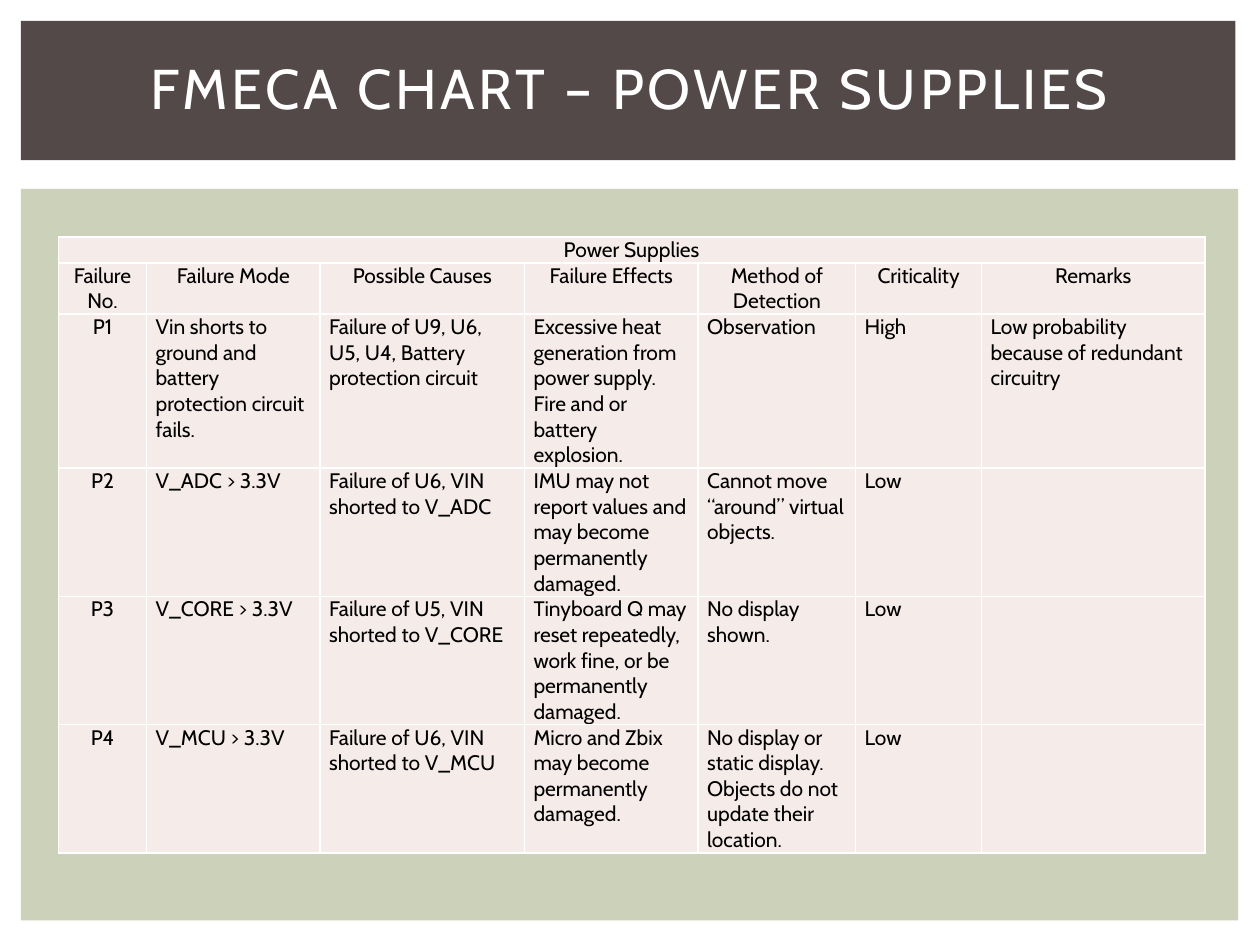
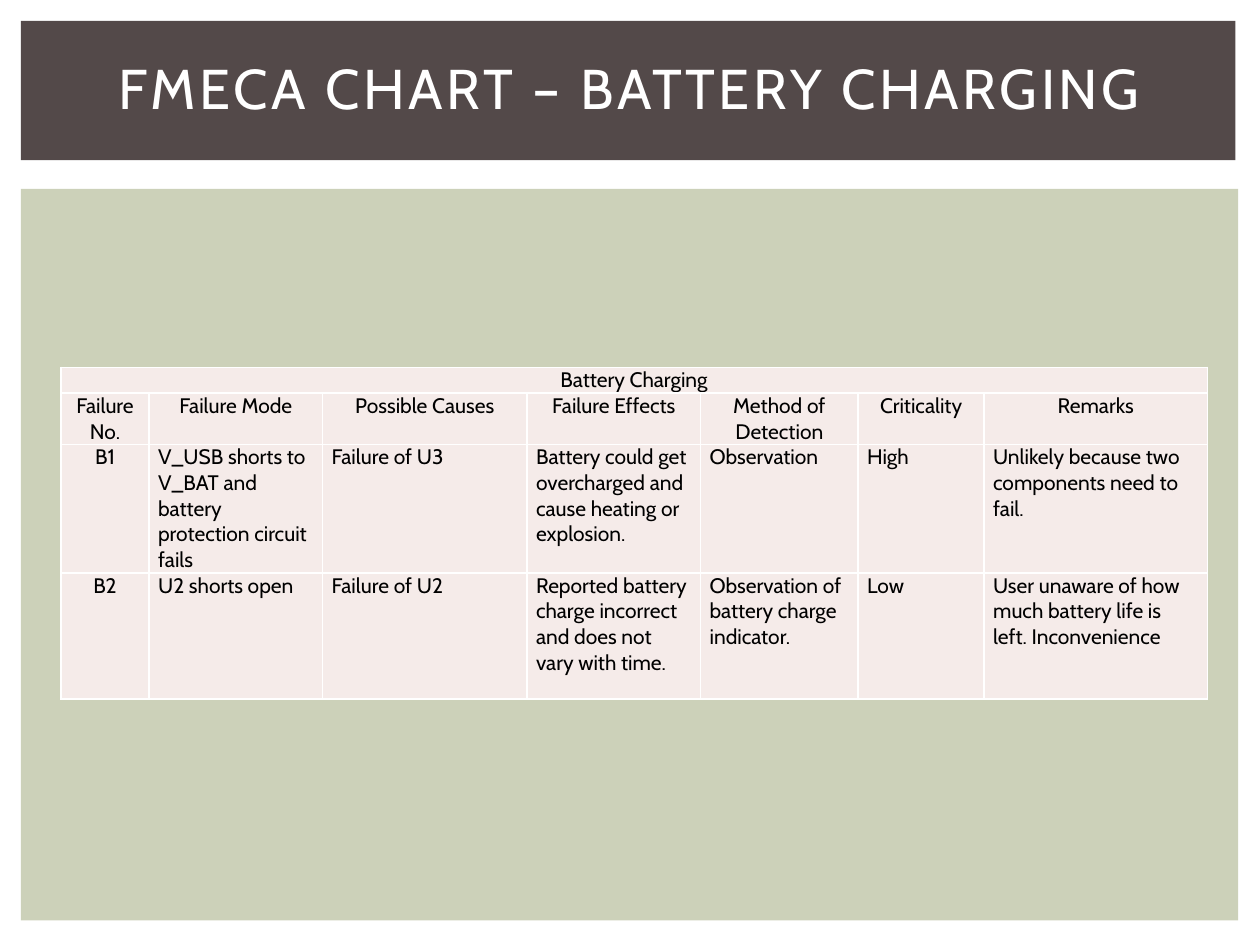
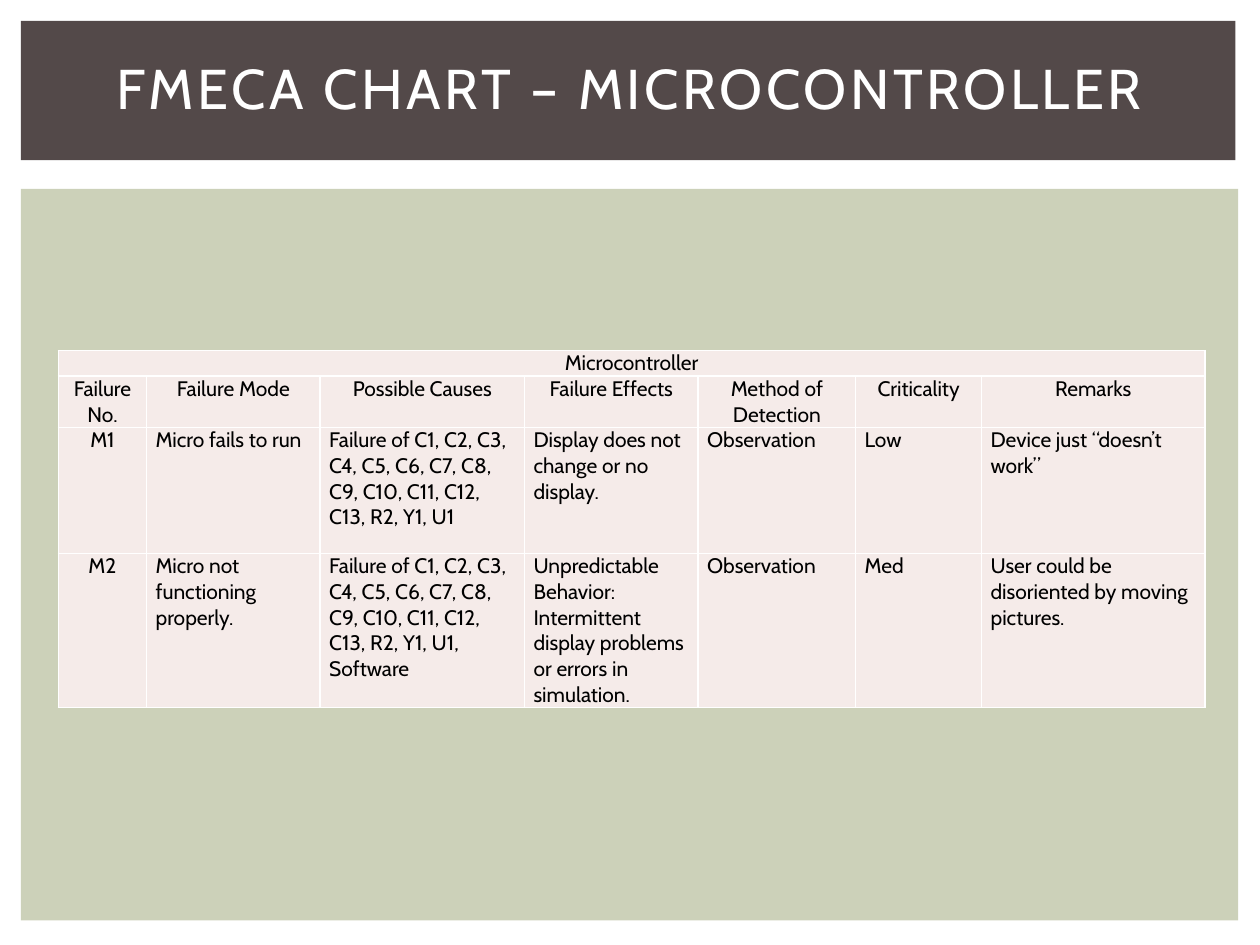
from lxml.etree import SubElement
from pptx import Presentation
from pptx.dml.color import RGBColor
from pptx.enum.shapes import MSO_SHAPE as Preset
from pptx.enum.text import MSO_ANCHOR as Anchor, MSO_AUTO_SIZE as AutoSize, PP_ALIGN as Align
from pptx.oxml.ns import qn
from pptx.util import Pt

WHITE = RGBColor(0xFF, 0xFF, 0xFF)
BLACK = RGBColor(0x00, 0x00, 0x00)
SAGE = RGBColor(0xCC, 0xD1, 0xB9)
BROWN = RGBColor(0x53, 0x49, 0x49)
BLUSH = RGBColor(0xF5, 0xEB, 0xE9)

FONT = "Cabin"
COLUMN_WIDTHS = [50.4, 99.2, 116.8, 99.2, 90, 72, 127.6]
HEADINGS = ["Failure No.", "Failure Mode", "Possible Causes", "Failure Effects",
            "Method of Detection", "Criticality", "Remarks"]
HEADER_HEIGHTS = [14.4, 28.8]
ROW_HEIGHT = 72
TALL_ROW_HEIGHT = 86.4
CAPACITORS = "Failure of C1, C2, C3, C4, C5, C6, C7, C8, C9, C10, C11, C12, C13, R2, Y1, U1"

POWER_FAILURES = [
    ["P1", "Vin shorts to ground and battery protection circuit fails.",
     "Failure of U9, U6, U5, U4, Battery protection circuit",
     "Excessive heat generation from power supply. Fire and or battery explosion.",
     "Observation", "High", "Low probability because of redundant circuitry"],
    ["P2", "V_ADC > 3.3V", "Failure of U6, VIN shorted to V_ADC",
     "IMU may not report values and may become permanently damaged.",
     "Cannot move “around” virtual objects.", "Low", ""],
    ["P3", "V_CORE > 3.3V", "Failure of U5, VIN shorted to V_CORE",
     "Tinyboard Q may reset repeatedly, work fine, or be permanently damaged.",
     "No display shown.", "Low", ""],
    ["P4", "V_MCU > 3.3V", "Failure of U6, VIN shorted to V_MCU",
     "Micro and Zbix may become permanently damaged.",
     "No display or static display. Objects do not update their location.", "Low", ""],
]
BATTERY_FAILURES = [
    ["B1", "V_USB shorts to V_BAT and battery protection circuit fails", "Failure of U3",
     "Battery could get overcharged and cause heating or explosion.",
     "Observation", "High", "Unlikely because two components need to fail."],
    ["B2", "U2 shorts open", "Failure of U2",
     "Reported battery charge incorrect and does not vary with time.",
     "Observation of battery charge indicator.", "Low",
     "User unaware of how much battery life is left. Inconvenience"],
]
MICRO_FAILURES = [
    ["M1", "Micro fails to run", CAPACITORS, "Display does not change or no display.",
     "Observation", "Low", "Device just “doesn’t work”"],
    ["M2", "Micro not functioning properly.", CAPACITORS + ", Software",
     "Unpredictable Behavior: Intermittent display problems or errors in simulation.",
     "Observation", "Med", "User could be disoriented by moving pictures."],
]


class FmecaDeck:
    def __init__(self):
        self.presentation = Presentation()
        self.presentation.slide_width = Pt(720)
        self.presentation.slide_height = Pt(540)
        self.layout = self.presentation.slide_layouts[5]
        self.slide = None

    def add_slide(self):
        self.slide = self.presentation.slides.add_slide(self.layout)
        if len(self.presentation.slides) == 1:
            self.add_layout_band(12, 12, 694, 79.6, BROWN)
            self.add_layout_band(12, 108, 695.5, 418, SAGE)

    def add_layout_band(self, left, top, width, height, color):
        band = self.slide.shapes.add_shape(
            Preset.RECTANGLE, Pt(left), Pt(top), Pt(width), Pt(height))
        band.shadow.inherit = False
        band.fill.solid()
        band.fill.fore_color.rgb = color
        band.line.fill.background()
        self.layout.shapes._spTree.insert(2, band._element)

    def add_run(self, paragraph, text, size, color):
        run = paragraph.add_run()
        run.text = text
        run.font.name = FONT
        run.font.size = Pt(size)
        run.font.color.rgb = color
        return run

    def add_title(self, text):
        title = self.slide.shapes.title
        title.left, title.top, title.width, title.height = Pt(30), Pt(28), Pt(660), Pt(44)
        frame = title.text_frame
        frame.auto_size = AutoSize.NONE
        frame.vertical_anchor = Anchor.MIDDLE
        paragraph = frame.paragraphs[0]
        paragraph.alignment = Align.CENTER
        run = self.add_run(paragraph, text, 32, WHITE)
        run.font._element.set("spc", "200")

    def format_cell(self, cell):
        cell.margin_left = cell.margin_right = Pt(5.15)
        cell.margin_top = cell.margin_bottom = Pt(0)
        properties = cell._tc.get_or_add_tcPr()
        for side in ("a:lnL", "a:lnR", "a:lnT", "a:lnB"):
            border = SubElement(properties, qn(side), w=str(Pt(1)))
            fill = SubElement(border, qn("a:solidFill"))
            SubElement(fill, qn("a:srgbClr"), val=str(WHITE))
        cell.fill.solid()
        cell.fill.fore_color.rgb = BLUSH

    def add_failure_table(self, left, top, caption, failures, tall_row=None):
        rows = [[caption] + [""] * (len(HEADINGS) - 1), HEADINGS] + failures
        heights = HEADER_HEIGHTS + [
            TALL_ROW_HEIGHT if failure[0] == tall_row else ROW_HEIGHT for failure in failures]
        table = self.slide.shapes.add_table(
            len(rows), len(HEADINGS), Pt(left), Pt(top),
            Pt(sum(COLUMN_WIDTHS)), Pt(sum(heights))).table
        for column, width in zip(table.columns, COLUMN_WIDTHS):
            column.width = Pt(width)
        for row, height in zip(table.rows, heights):
            row.height = Pt(height)
        table.cell(0, 0).merge(table.cell(0, len(HEADINGS) - 1))
        for row_index, texts in enumerate(rows):
            for column_index, text in enumerate(texts):
                cell = table.cell(row_index, column_index)
                self.format_cell(cell)
                if text:
                    paragraph = cell.text_frame.paragraphs[0]
                    centered = row_index < len(HEADER_HEIGHTS) or column_index == 0
                    paragraph.alignment = Align.CENTER if centered else Align.LEFT
                    run = self.add_run(paragraph, text, 12, BLACK)
                    run.font.bold = False


def main():
    deck = FmecaDeck()

    deck.add_slide()
    deck.add_title("FMECA CHART – POWER SUPPLIES")
    deck.add_failure_table(33.4, 135.5, "Power Supplies", POWER_FAILURES, "P1")

    deck.add_slide()
    deck.add_title("FMECA CHART – BATTERY CHARGING")
    deck.add_failure_table(34.8, 210, "Battery Charging", BATTERY_FAILURES)

    deck.add_slide()
    deck.add_title("FMECA CHART – MICROCONTROLLER")
    deck.add_failure_table(33.4, 200.3, "Microcontroller", MICRO_FAILURES, "M2")

    deck.presentation.save("out.pptx")


if __name__ == "__main__":
    main()
